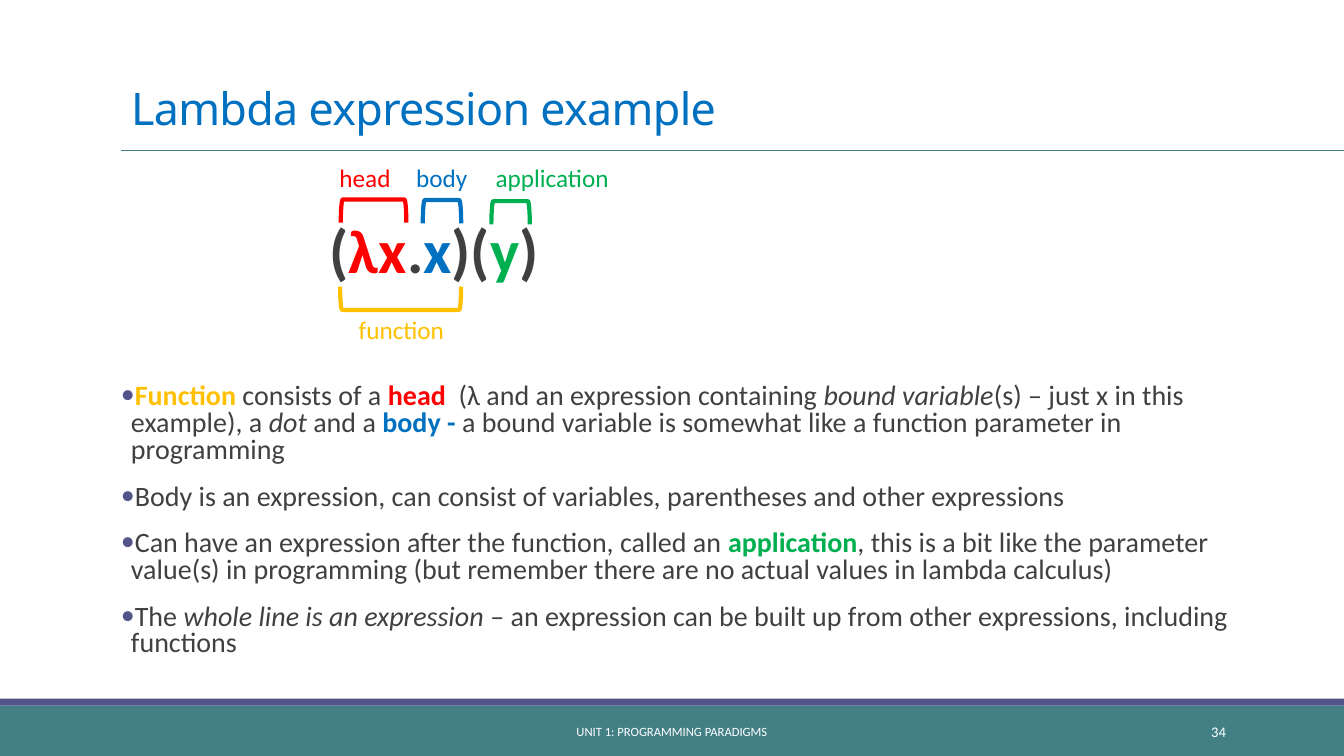
import pptx
import pptx.util
import pptx.dml.color
import pptx.enum.shapes
import pptx.enum.text
import lxml.etree
from dataclasses import dataclass
from typing import Any

Pt = pptx.util.Pt
RGB = pptx.dml.color.RGBColor
ALIGN = pptx.enum.text.PP_ALIGN
ANCHOR = pptx.enum.text.MSO_ANCHOR
SHAPE = pptx.enum.shapes.MSO_SHAPE

RED = RGB(0xFF, 0x00, 0x00)
BLUE = RGB(0x00, 0x70, 0xC0)
GREEN = RGB(0x00, 0xB0, 0x50)
GOLD = RGB(0xFF, 0xC0, 0x00)
GREY = RGB(0x40, 0x40, 0x40)
WHITE = RGB(0xFF, 0xFF, 0xFF)
TEAL = RGB(0x43, 0x80, 0x86)
PURPLE = RGB(0x53, 0x54, 0x8A)

WIDTH, HEIGHT = 960, 540
MARGIN = 86.4
CONTENT_WIDTH = 792
BRACKET_DEPTH = 16.6
BULLET_INDENT = 7.2


@dataclass
class Run:
    text: str
    color: RGB = GREY
    bold: bool = False
    italic: bool = False


@dataclass
class Part:
    label: str
    color: RGB
    label_left: float
    label_top: float
    label_width: float
    center_x: float
    center_y: float
    span: float
    rotation: int = 90


@dataclass
class Footer:
    text: str
    left: float
    width: float
    size: float
    align: Any


PARTS = [
    Part("function", GOLD, 249.1, 221, 76.3, 286.2, 213.1, 86.4, 270),
    Part("head", RED, 235.4, 112.3, 51.8, 266.8, 150.8, 46.8),
    Part("body", BLUE, 290.2, 112.3, 51.8, 315.7, 151.2, 27.4),
    Part("application", GREEN, 347, 112.3, 96.5, 364.7, 152, 27.4),
]

FOOTERS = [
    Footer("UNIT 1: PROGRAMMING PARADIGMS", 290.2, 379.4, 9, ALIGN.CENTER),
    Footer("34", 779.8, 103, 10.5, ALIGN.RIGHT),
]

EXPRESSION = [
    Run("(", bold=True), Run("λx", RED, True), Run(".", bold=True),
    Run("x", BLUE, True), Run(")(", bold=True), Run("y", GREEN, True),
    Run(")", bold=True),
]

BULLETS = [
    [Run("Function ", GOLD, True), Run("consists of a "), Run("head", RED, True),
     Run("  (λ and an expression containing "), Run("bound variable", italic=True),
     Run("(s) – just x in this example), a "), Run("dot", italic=True),
     Run(" and a "), Run("body - ", BLUE, True),
     Run("a bound variable is somewhat like a function parameter in programming")],
    [Run("Body is an expression, can consist of variables, parentheses and other expressions")],
    [Run("Can have an expression after the function, called an "),
     Run("application", GREEN, True),
     Run(", this is a bit like the parameter value(s) in programming "
         "(but remember there are no actual values in lambda calculus)")],
    [Run("The "), Run("whole line is an expression ", italic=True),
     Run("– an expression can be built up from other expressions, including functions")],
]


def add_bar(s: Any, top: float, height: float, color: RGB) -> None:
    sp = s.shapes.add_shape(SHAPE.RECTANGLE, 0, Pt(top), Pt(WIDTH), Pt(height))
    sp.shadow.inherit = False
    sp.fill.solid()
    sp.fill.fore_color.rgb = color
    sp.line.fill.background()


def add_text(s: Any, text: str, left: float, top: float, width: float,
             size: float, color: RGB) -> Any:
    tf = s.shapes.add_textbox(Pt(left), Pt(top), Pt(width), Pt(28.8)).text_frame
    tf.text = text
    tf.word_wrap = False
    font = tf.paragraphs[0].runs[0].font
    font.name, font.size, font.color.rgb = "Calibri", Pt(size), color
    return tf


def add_part(s: Any, part: Part) -> None:
    sp = s.shapes.add_shape(
        SHAPE.LEFT_BRACKET, Pt(part.center_x - BRACKET_DEPTH / 2),
        Pt(part.center_y - part.span / 2), Pt(BRACKET_DEPTH), Pt(part.span))
    sp.rotation = part.rotation
    sp.shadow.inherit = False
    sp.fill.background()
    sp.line.color.rgb = part.color
    sp.line.width = Pt(3)
    add_text(s, part.label, part.label_left, part.label_top, part.label_width,
             18, part.color)


def add_footer(s: Any, footer: Footer) -> None:
    tf = add_text(s, footer.text, footer.left, 508.3, footer.width, footer.size, WHITE)
    tf.word_wrap = True
    tf.vertical_anchor = ANCHOR.MIDDLE
    tf.paragraphs[0].alignment = footer.align


def fill_paragraph(p: Any, runs: list[Run], size: float, indent: float,
                   space_before: float = 12) -> None:
    p.line_spacing = 0.8
    p.space_before, p.space_after = Pt(space_before), Pt(2)
    p._p.get_or_add_pPr().set("marL", str(Pt(indent)))
    for run in runs:
        r = p.add_run()
        r.text = run.text
        r.font.name, r.font.size = "Calibri", Pt(size)
        r.font.color.rgb = run.color
        r.font.bold, r.font.italic = run.bold, run.italic


def add_bullet(p: Any) -> None:
    pPr = p._p.get_or_add_pPr()
    pPr.set("indent", str(-Pt(BULLET_INDENT)))
    ns = pptx.oxml.ns.qn
    color = lxml.etree.SubElement(pPr, ns("a:buClr"))
    lxml.etree.SubElement(color, ns("a:srgbClr")).set("val", str(PURPLE))
    lxml.etree.SubElement(pPr, ns("a:buFont")).set("typeface", "Calibri")
    lxml.etree.SubElement(pPr, ns("a:buChar")).set("char", "•")


def add_title(s: Any) -> None:
    sp = s.shapes.title
    sp.left, sp.top = Pt(MARGIN), Pt(22.3)
    sp.width, sp.height = Pt(CONTENT_WIDTH), Pt(77.8)
    tf = sp.text_frame
    tf.text = "Lambda expression example"
    tf.auto_size = pptx.enum.text.MSO_AUTO_SIZE.NONE
    tf.vertical_anchor = ANCHOR.BOTTOM
    p = tf.paragraphs[0]
    p.alignment, p.line_spacing = ALIGN.LEFT, 0.85
    r = p.runs[0]
    r.font.name, r.font.size, r.font.color.rgb = "Noto Sans", Pt(32), BLUE
    r._r.get_or_add_rPr().set("spc", "-50")


def add_rule(s: Any) -> None:
    line = s.shapes.add_connector(pptx.enum.shapes.MSO_CONNECTOR.STRAIGHT,
                                  Pt(MARGIN), Pt(107.3), Pt(WIDTH), Pt(107.3))
    line.line.color.rgb = TEAL
    line.line.width = Pt(0.5)
    lxml.etree.SubElement(line._element.spPr, pptx.oxml.ns.qn("a:effectLst"))


def add_body(s: Any) -> None:
    tf = s.shapes.add_textbox(Pt(MARGIN), Pt(157.7), Pt(CONTENT_WIDTH), Pt(339)).text_frame
    tf.word_wrap = True
    tf.margin_left = tf.margin_right = 0
    fill_paragraph(tf.paragraphs[0], EXPRESSION, 44, 149)
    for i, runs in enumerate(BULLETS):
        p = tf.add_paragraph()
        fill_paragraph(p, runs, 20, BULLET_INDENT, 12 if i else 69)
        add_bullet(p)


prs = pptx.Presentation()
prs.slide_width, prs.slide_height = Pt(WIDTH), Pt(HEIGHT)
s = prs.slides.add_slide(prs.slide_layouts[5])
add_bar(s, 504, 36, TEAL)
add_bar(s, 499, 5, PURPLE)
add_rule(s)
add_title(s)
add_body(s)
for footer in FOOTERS:
    add_footer(s, footer)
for part in PARTS:
    add_part(s, part)
prs.save("out.pptx")
